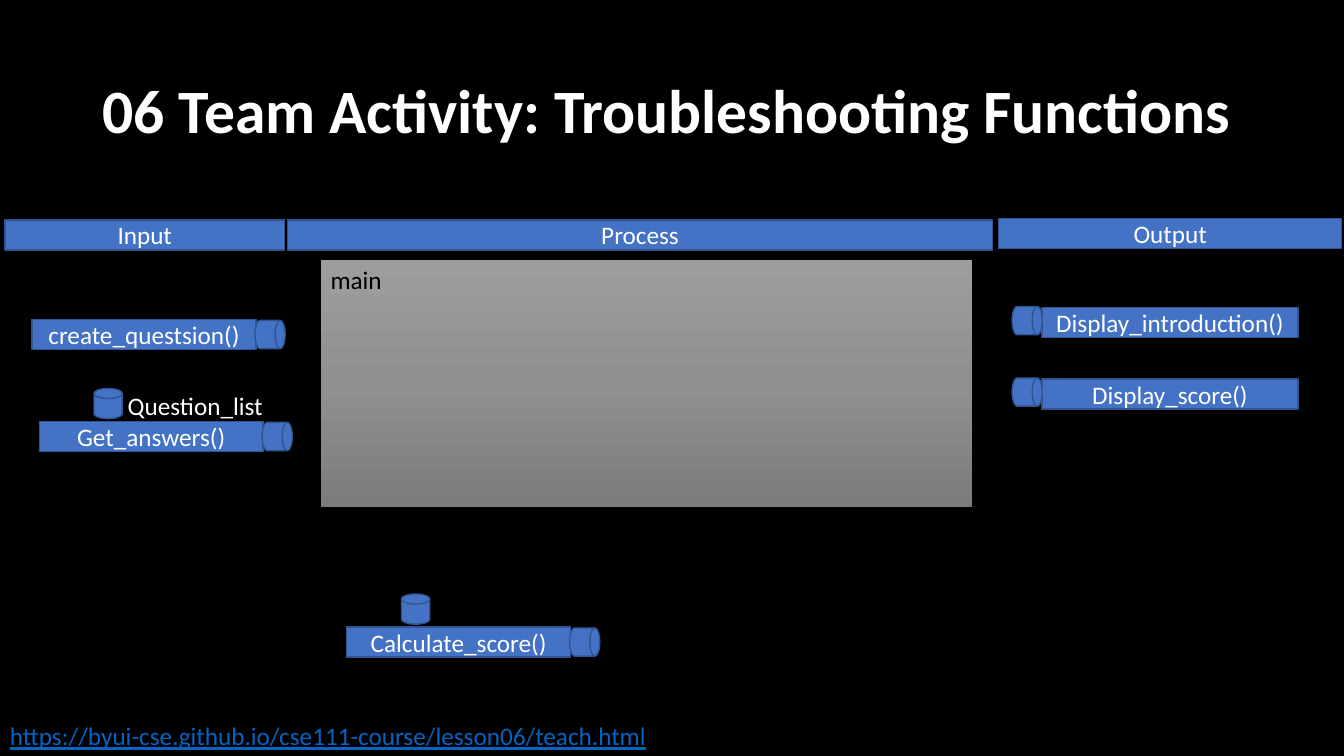
import copy

import pptx
import pptx.dml.color
import pptx.enum.shapes
import pptx.enum.text
import pptx.oxml.ns
import pptx.util

Cm = pptx.util.Cm
Pt = pptx.util.Pt
Kind = pptx.enum.shapes.MSO_SHAPE
Align = pptx.enum.text.PP_ALIGN
Anchor = pptx.enum.text.MSO_ANCHOR

COLORS = {
    "black": "000000",
    "white": "FFFFFF",
    "blue": "4472C4",
    "edge": "325491",
    "link": "0563C1",
}
GRAYS = {0: "9D9D9D", 50: "909090", 100: "7C7C7C"}

BODY = {"name": "Calibri", "size": Pt(18)}
TITLE = {"name": "Calibri", "size": Pt(44), "bold": True}
LINK = {**BODY, "underline": True}

BAR = 0.76
DISK = 0.71


def paint(name):
    return pptx.dml.color.RGBColor.from_string(COLORS[name])


def apply(target, values):
    for key, value in values.items():
        setattr(target, key, value)


def write(shape, text, form, color, align=Align.LEFT, anchor=Anchor.TOP):
    frame = shape.text_frame
    apply(frame, {"word_wrap": True, "vertical_anchor": anchor})
    par = frame.paragraphs[0]
    par.alignment = align
    run = par.add_run()
    run.text = text
    apply(run.font, form)
    run.font.color.rgb = paint(color)
    return par


def label(slide, box, text, form, color, anchor=Anchor.TOP):
    shape = slide.shapes.add_textbox(*map(Cm, box))
    return write(shape, text, form, color, anchor=anchor)


def block(slide, kind, box, edge="edge", width=1):
    shape = slide.shapes.add_shape(kind, *map(Cm, box))
    shape.shadow.inherit = False
    shape.fill.solid()
    shape.fill.fore_color.rgb = paint("blue")
    shape.line.color.rgb = paint(edge)
    shape.line.width = Pt(width)
    return shape


def bar(slide, x, y, width, text):
    shape = block(slide, Kind.RECTANGLE, (x, y, width, BAR))
    write(shape, text, BODY, "white", Align.CENTER, Anchor.MIDDLE)


def disk(slide, x, y, turn=0):
    shape = block(slide, Kind.FLOWCHART_MAGNETIC_DISK, (x, y, DISK, BAR))
    shape.rotation = turn


def source(slide, x, y, text, feed=False):
    width = 5.64
    bar(slide, x, y, width, text)
    disk(slide, x + width, y, 90)
    if feed:
        disk(slide, x + 1.38, y - 0.83)


def sink(slide, x, y, text):
    bar(slide, x, y, 6.45, text)
    disk(slide, x - 0.73, y - 0.05, 90)


def panel(slide, box, text):
    shape = block(slide, Kind.RECTANGLE, box, "black", 0.5)
    shape.fill.gradient()
    shape.fill.gradient_angle = 270
    stops = next(shape.element.iter(pptx.oxml.ns.qn("a:gsLst")))
    stops.insert(1, copy.deepcopy(stops[0]))
    for stop, (place, gray) in zip(shape.fill.gradient_stops, GRAYS.items()):
        stop.position = place / 100
        stop.color.rgb = pptx.dml.color.RGBColor.from_string(gray)
    write(shape, text, BODY, "black")


def main():
    deck = pptx.Presentation()
    apply(deck, {"slide_width": Cm(33.87), "slide_height": Cm(19.05)})
    slide = deck.slides.add_slide(deck.slide_layouts[6])
    slide.background.fill.solid()
    slide.background.fill.fore_color.rgb = paint("black")

    title = label(slide, (2.34, 1.02, 29.21, 3.68),
                  "06 Team Activity: Troubleshooting Functions",
                  TITLE, "white", Anchor.MIDDLE)
    title.line_spacing = 0.9

    bar(slide, 7.24, 5.54, 17.78, "Process")
    bar(slide, 0.13, 5.54, 7.04, "Input")
    bar(slide, 25.17, 5.51, 8.64, "Output")
    panel(slide, (8.08, 6.53, 16.43, 6.25), "main")

    source(slide, 0.81, 8.05, "create_questsion()")
    source(slide, 0.99, 10.62, "Get_answers()", True)
    source(slide, 8.74, 15.8, "Calculate_score()", True)
    sink(slide, 26.26, 7.75, "Display_introduction()")
    sink(slide, 26.26, 9.55, "Display_score()")

    label(slide, (2.97, 9.7, 5.64, 1.02), "Question_list", BODY, "white")
    label(slide, (0, 18.03, 16.92, 1.02),
          "https://byui-cse.github.io/cse111-course/lesson06/teach.html",
          LINK, "link")
    deck.save("out.pptx")


if __name__ == "__main__":
    main()
